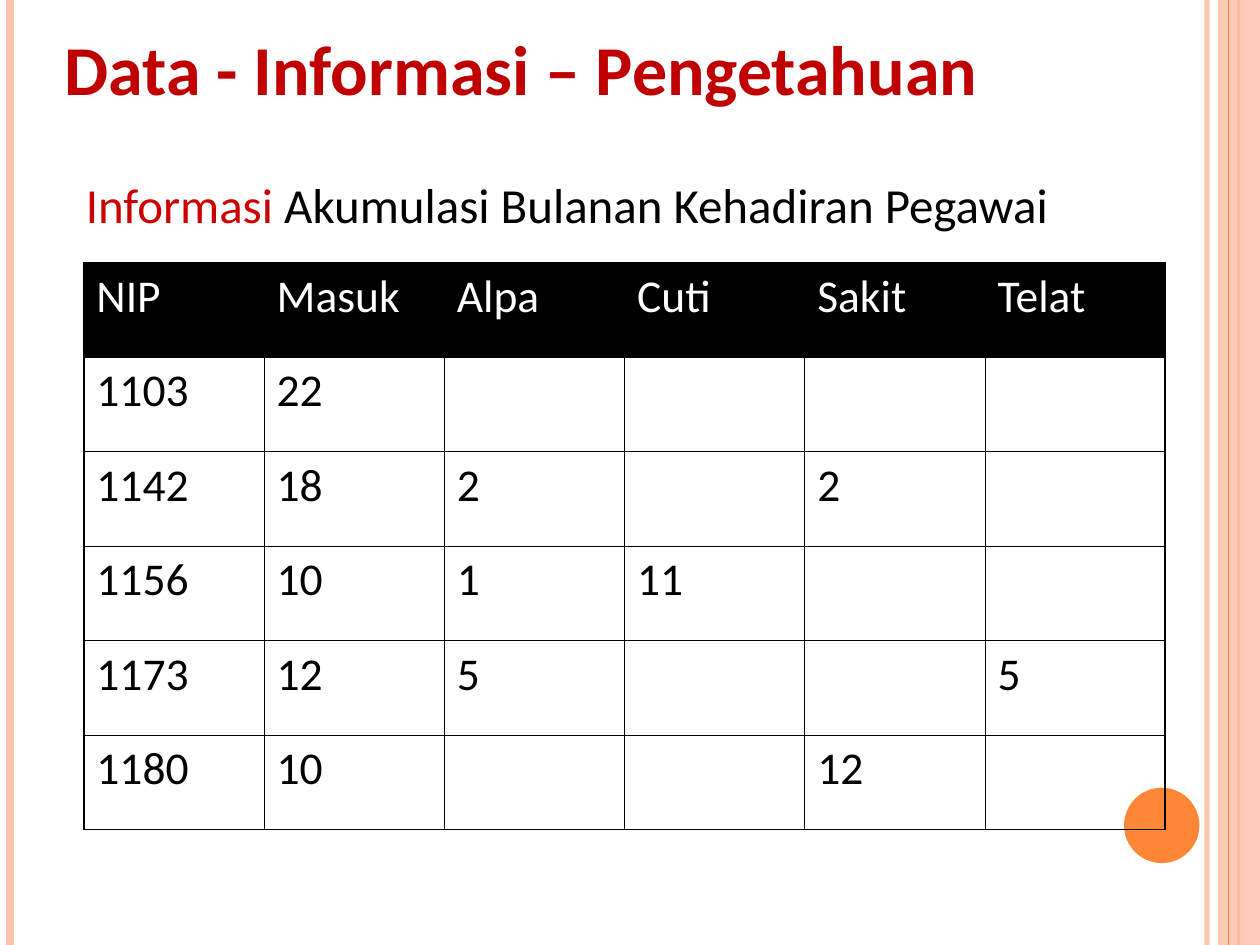
from dataclasses import dataclass

from lxml import etree
from pptx import Presentation
from pptx.dml.color import RGBColor
from pptx.enum.shapes import MSO_CONNECTOR, MSO_SHAPE
from pptx.enum.text import MSO_ANCHOR
from pptx.oxml.ns import qn
from pptx.util import Cm, Pt

STRAIGHT = MSO_CONNECTOR.STRAIGHT
RECTANGLE, OVAL = MSO_SHAPE.RECTANGLE, MSO_SHAPE.OVAL
TOP, BOTTOM = MSO_ANCHOR.TOP, MSO_ANCHOR.BOTTOM
WIDTH, HEIGHT = 25.4, 19.05
BLANK_LAYOUT = 6


@dataclass(frozen=True)
class Theme:
    font: str = "Calibri"
    title_size: float = 40
    subtitle_size: float = 28
    table_size: float = 26
    title: str = "C00000"
    highlight: str = "CC0000"
    ink: str = "000000"
    paper: str = "FFFFFF"
    peach: str = "FEC3AE"
    orange: str = "FE8637"
    outer_border: float = 1.08
    inner_border: float = 0.45


THEME = Theme()

# x in cm, width in points, colour, opacity in percent
STRIPES_BEHIND_BAND = [
    (24.33, 3, THEME.peach, 93),
    (0.2, 4.5, THEME.peach, 100),
    (24.97, 1.5, THEME.orange, 100),
]
STRIPE_ON_BAND = (24.77, 0.75, THEME.orange, 100)

ATTENDANCE = [
    ["NIP", "Masuk", "Alpa", "Cuti", "Sakit", "Telat"],
    ["1103", "22", "", "", "", ""],
    ["1142", "18", "2", "", "2", ""],
    ["1156", "10", "1", "11", "", ""],
    ["1173", "12", "5", "", "", "5"],
    ["1180", "10", "", "", "12", ""],
]


def set_opacity(element, percent):
    for color in element.iter(qn("a:srgbClr")):
        etree.SubElement(color, qn("a:alpha"), val=str(percent * 1000))


def add_stripe(page, x, width, color, opacity):
    stripe = page.shapes.add_connector(STRAIGHT, Cm(x), Cm(0), Cm(x), Cm(HEIGHT))
    stripe.line.color.rgb = RGBColor.from_string(color)
    stripe.line.width = Pt(width)
    properties = stripe.line._get_or_add_ln().getparent()
    if opacity < 100:
        set_opacity(properties, opacity)
    etree.SubElement(properties, qn("a:effectLst"))


def add_filled_shape(page, kind, left, top, width, height, color, opacity=100):
    shape = page.shapes.add_shape(kind, Cm(left), Cm(top), Cm(width), Cm(height))
    shape.shadow.inherit = False
    shape.fill.solid()
    shape.fill.fore_color.rgb = RGBColor.from_string(color)
    shape.line.fill.background()
    if opacity < 100:
        set_opacity(shape.fill._xPr, opacity)


def add_span(para, text, size, color, bold=False):
    span = para.add_run()
    span.text = text
    formats = {"name": THEME.font, "size": Pt(size), "bold": bold}
    for name, value in formats.items():
        setattr(span.font, name, value)
    span.font.color.rgb = RGBColor.from_string(color)


def add_text(page, left, top, width, height, spans, anchor=TOP):
    """Add one paragraph; each span is (text, size, color, bold)."""
    box = page.shapes.add_textbox(Cm(left), Cm(top), Cm(width), Cm(height))
    box.text_frame.word_wrap = True
    box.text_frame.vertical_anchor = anchor
    for span in spans:
        add_span(box.text_frame.paragraphs[0], *span)


def set_borders(cell, widths):
    """Draw borders from a dict of side letter to width in points."""
    properties = cell._tc.get_or_add_tcPr()
    for index, (side, width) in enumerate(widths.items()):
        line = etree.Element(qn(f"a:ln{side}"), w=str(int(Pt(width))))
        fill = etree.SubElement(line, qn("a:solidFill"))
        etree.SubElement(fill, qn("a:srgbClr"), val=THEME.ink)
        properties.insert(index, line)


def add_attendance_table(page, left, top, width, height):
    last_row, last_column = len(ATTENDANCE) - 1, len(ATTENDANCE[0]) - 1
    frame = page.shapes.add_table(
        last_row + 1, last_column + 1, Cm(left), Cm(top), Cm(width), Cm(height)
    )
    table = frame.table
    table.horz_banding = table.first_row = False
    for row, values in enumerate(ATTENDANCE):
        for column, value in enumerate(values):
            cell = table.cell(row, column)
            if row == 0:
                cell.fill.solid()
                cell.fill.fore_color.rgb = RGBColor.from_string(THEME.ink)
            else:
                cell.fill.background()
            outer_sides = {
                "L": column == 0,
                "R": column == last_column,
                "T": row == 0,
                "B": row == last_row,
            }
            set_borders(cell, {
                side: THEME.outer_border if outer else THEME.inner_border
                for side, outer in outer_sides.items()
            })
            if value:
                color = THEME.paper if row == 0 else THEME.ink
                add_span(cell.text_frame.paragraphs[0], value, THEME.table_size, color)


def add_decoration(page):
    for stripe in STRIPES_BEHIND_BAND:
        add_stripe(page, *stripe)
    add_filled_shape(page, RECTANGLE, 24.55, 0, 0.85, HEIGHT, THEME.peach, 87)
    add_stripe(page, *STRIPE_ON_BAND)
    add_filled_shape(page, OVAL, 22.66, 15.88, 1.52, 1.52, THEME.orange)


def main():
    deck = Presentation()
    deck.slide_width, deck.slide_height = Cm(WIDTH), Cm(HEIGHT)
    page = deck.slides.add_slide(deck.slide_layouts[BLANK_LAYOUT])
    add_decoration(page)
    add_text(page, 1.06, 1.06, 23.28, 1.27, [
        ("Data - Informasi – Pengetahuan", THEME.title_size, THEME.title, True),
    ], BOTTOM)
    add_text(page, 1.48, 3.39, 22.23, 1.48, [
        ("Informasi", THEME.subtitle_size, THEME.highlight),
        (" Akumulasi Bulanan Kehadiran Pegawai", THEME.subtitle_size, THEME.ink),
    ])
    add_attendance_table(page, 1.69, 5.29, 21.8, 11.43)
    deck.save("out.pptx")


if __name__ == "__main__":
    main()
